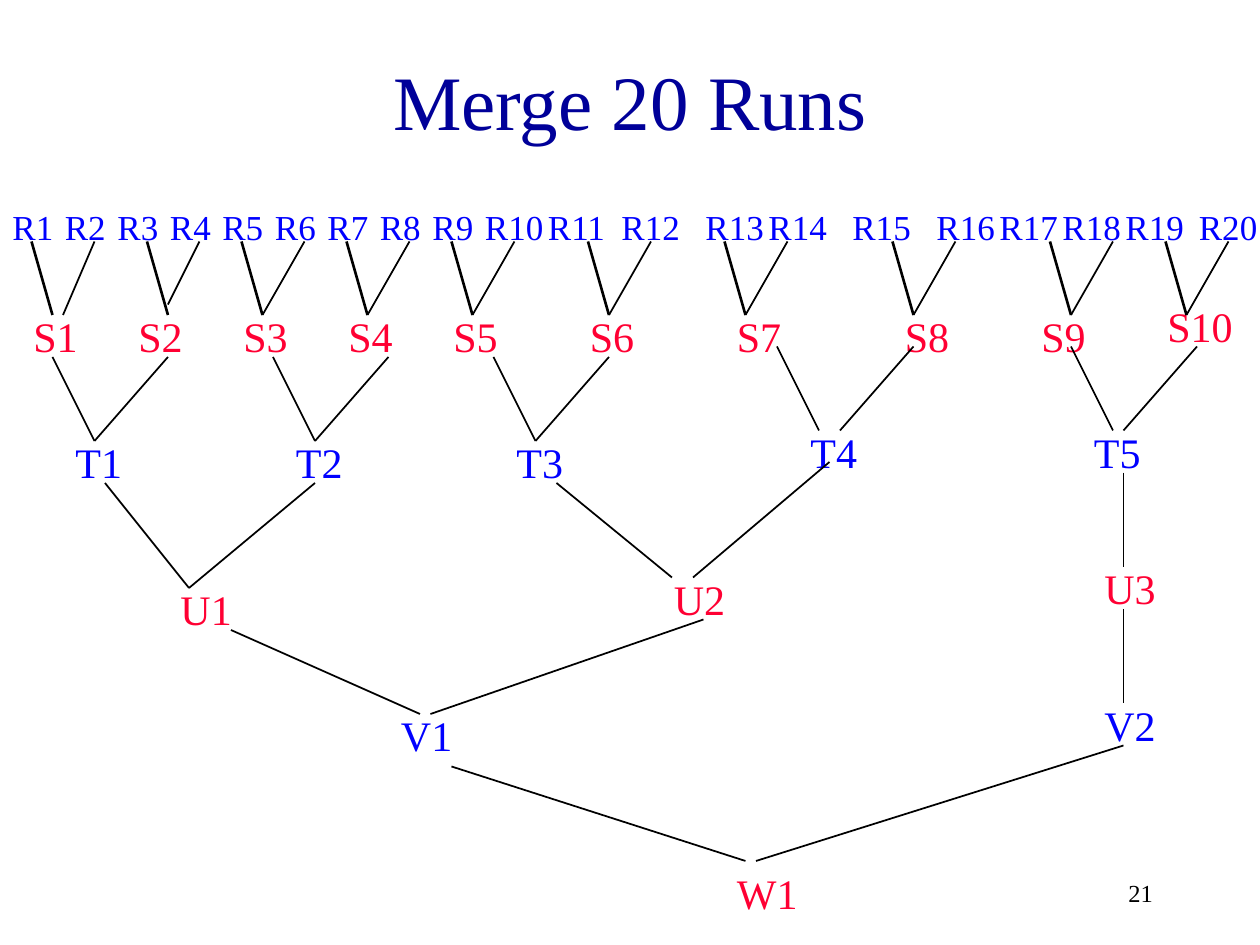
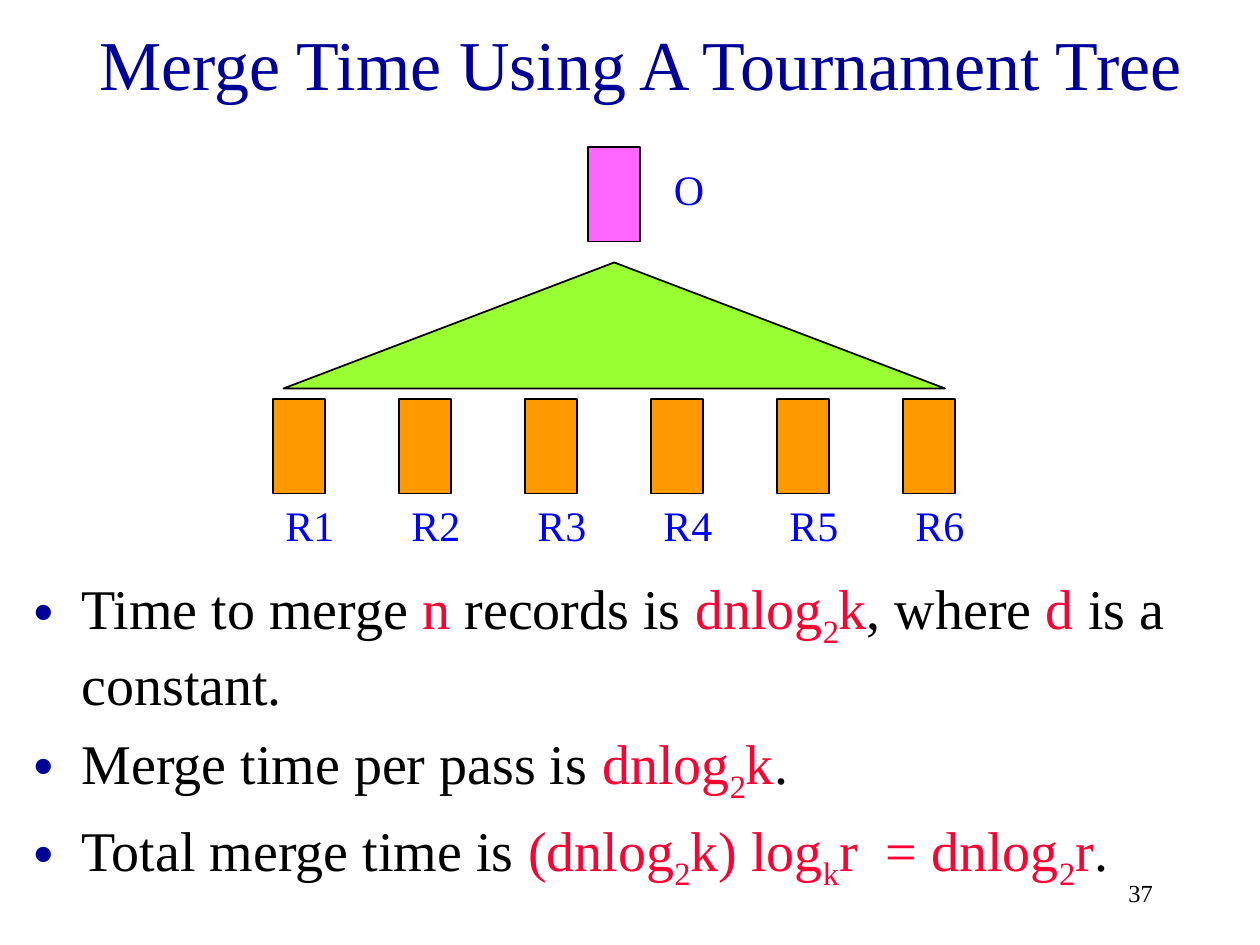
from lxml.etree import SubElement as Sub
from pptx import Presentation
from pptx.dml.color import RGBColor
from pptx.enum.shapes import MSO_CONNECTOR as Conn, MSO_SHAPE as Kind
from pptx.enum.text import MSO_ANCHOR as Anchor, MSO_AUTO_SIZE as Fit, PP_ALIGN as Align
from pptx.oxml.ns import qn
from pptx.util import Inches, Pt

CELL = Inches(1) // 12
COLS, ROWS = 120, 90
NAVY, BLUE, RED, BLACK = "000099", "0000FF", "FF0033", "000000"
ORANGE, PINK, GREEN = "FF9900", "FF66FF", "99FF33"
FACE = "Times New Roman"


def tint(part, code):
    part.rgb = RGBColor.from_string(code)


def span(*cells):
    return [cell * CELL for cell in cells]


def apply(thing, **form):
    for key, val in form.items():
        setattr(thing, key, val)


def write(para, text, size, code):
    run = para.add_run()
    run.text = text
    apply(run.font, name=FACE, size=Pt(size))
    tint(run.font.color, code)
    return run


def label(shapes, box, text, size=24, code=BLUE, align=Align.LEFT,
          anchor=Anchor.TOP, fit=Fit.SHAPE_TO_FIT_TEXT):
    frame = shapes.add_textbox(*span(*box)).text_frame
    apply(frame, word_wrap=True, auto_size=fit, vertical_anchor=anchor)
    frame.paragraphs[0].alignment = align
    write(frame.paragraphs[0], text, size, code)


def place(holder, box):
    left, top, width, height = span(*box)
    apply(holder, left=left, top=top, width=width, height=height)
    return holder.text_frame


def head(slide, box, text, size):
    frame = place(slide.shapes.title, box)
    apply(frame, auto_size=Fit.NONE, vertical_anchor=Anchor.MIDDLE)
    frame.paragraphs[0].alignment = Align.CENTER
    write(frame.paragraphs[0], text, size, NAVY)


def page(slide, num):
    label(slide.shapes, (86, 82, 25, 6), num, 14, BLACK,
          Align.RIGHT, Anchor.MIDDLE, Fit.NONE)


def level(slide, row, name, code, spots, wide=8, size=24):
    shapes = slide.shapes.add_group_shape().shapes
    for num, (col, drop) in enumerate(spots, 1):
        grow = 2 if name + str(num) == "S10" else 0
        label(shapes, (col, row + drop, wide + grow, 5 if size < 24 else 6),
              f"{name}{num}", size, code)


def links(slide, row, ends, weight=1):
    shapes = slide.shapes.add_group_shape().shapes
    for left, top, right, low in ends:
        line = shapes.add_connector(
            Conn.STRAIGHT, *span(left, row + top, right, row + low))
        line.line.width = Pt(weight)
        tint(line.line.color, BLACK)
        Sub(line._element.spPr, qn("a:effectLst"))


def merge(slide, row):
    runs = [*range(0, 50, 5), 51, 58, 66, 72, 80, 88, 94, 100, 106, 113]
    level(slide, row, "R", BLUE, [(col, 0) for col in runs], size=20)

    sums = [*range(2, 52, 10), 55, 69, 85, 98]
    level(slide, row + 10, "S", RED, [(col, 0) for col in sums] + [(110, -1)])
    feet = [25, 35, 45, 58, 71, 87, 102, 113]
    links(slide, row + 4, [(foot - 2, 0, foot, 7) for foot in [5, 16] + feet], 1.5)
    links(slide, row + 4, [(9, 0, 6, 7), (19, 0, 16, 6)]
          + [(foot + 4, 0, foot, 7) for foot in feet])

    level(slide, row + 22, "T", BLUE,
          [(6, 0), (27, 0), (48, 0), (76, -1), (103, -1)])
    pairs = [(9, 9, 0), (30, 30, 0), (51, 51, 0), (78, 80, -1), (106, 107, -1)]
    for side, reach in (0, -4), (1, 7):
        links(slide, row + 15, [(pair[side] + reach, pair[2], pair[side], pair[2] + 8)
                                for pair in pairs])

    level(slide, row + 35, "U", RED, [(16, 1), (63, 0), (104, -1)])
    links(slide, row + 25, [(10, 2, 18, 12), (53, 2, 64, 11), (30, 2, 18, 12),
                            (79, 0, 66, 11), (107, 1, 107, 10)])

    level(slide, row + 47, "V", BLUE, [(37, 1), (104, 0)], 9)
    links(slide, row + 39, [(22, 2, 40, 10), (67, 1, 41, 10), (107, 0, 107, 9)])

    level(slide, row + 63, "W", RED, [(69, 0)], 9)
    links(slide, row + 52, [(43, 2, 71, 11), (107, 0, 72, 11)])


def block(shapes, kind, box, code):
    shape = shapes.add_shape(kind, *span(*box))
    shape.shadow.inherit = False
    shape.fill.solid()
    tint(shape.fill.fore_color, code)
    tint(shape.line.color, BLACK)
    shape.line.width = Pt(1)


def tree(slide, col, row, count=6, step=12):
    shapes = slide.shapes.add_group_shape().shapes
    for num in range(count):
        left = col + num * step
        block(shapes, Kind.RECTANGLE, (left, row + 24, 5, 9), ORANGE)
        label(shapes, (left, row + 33, 9, 6), f"R{num + 1}")
    block(shapes, Kind.RECTANGLE, (col + 30, row, 5, 9), PINK)
    label(shapes, (col + 37, row + 1, 9, 6), "O")
    block(shapes, Kind.ISOSCELES_TRIANGLE, (col + 1, row + 11, 63, 12), GREEN)


def bullet(para):
    props = para._p.get_or_add_pPr()
    props.set("marL", str(Inches(0.38)))
    props.set("indent", str(-Inches(0.38)))
    Sub(Sub(props, qn("a:buClr")), qn("a:srgbClr"), val=NAVY)
    Sub(props, qn("a:buChar"), char="•")


def points(slide, box, items):
    frame = place(slide.placeholders[1], box)
    apply(frame, auto_size=Fit.NONE, vertical_anchor=Anchor.TOP)
    for num, item in enumerate(items):
        para = frame.add_paragraph() if num else frame.paragraphs[0]
        apply(para, space_before=Pt(6.4 if num else 0), alignment=Align.LEFT)
        bullet(para)
        for odd, part in enumerate(item.split("|")):
            for sub, text in enumerate(part.split("~")):
                run = write(para, text, 32, RED if odd % 2 else BLACK)
                if sub % 2:
                    run._r.get_or_add_rPr().set("baseline", "-25000")


def main():
    deck = Presentation()
    apply(deck, slide_width=COLS * CELL, slide_height=ROWS * CELL)

    slide = deck.slides.add_slide(deck.slide_layouts[5])
    head(slide, (9, 2, 102, 15), "Merge 20 Runs", 44)
    merge(slide, 19)
    page(slide, "21")

    slide = deck.slides.add_slide(deck.slide_layouts[1])
    head(slide, (2, 0, 118, 12), "Merge Time Using A Tournament Tree", 40)
    points(slide, (2, 54, 118, 33), [
        "Time to merge |n| records is |dnlog~2~k|, where |d| is a constant.",
        "Merge time per pass is |dnlog~2~k|.",
        "Total merge time is |(dnlog~2~k) log~k~r  = dnlog~2~r|.",
    ])
    tree(slide, 26, 14)
    page(slide, "37")
    deck.save("out.pptx")


if __name__ == "__main__":
    main()
